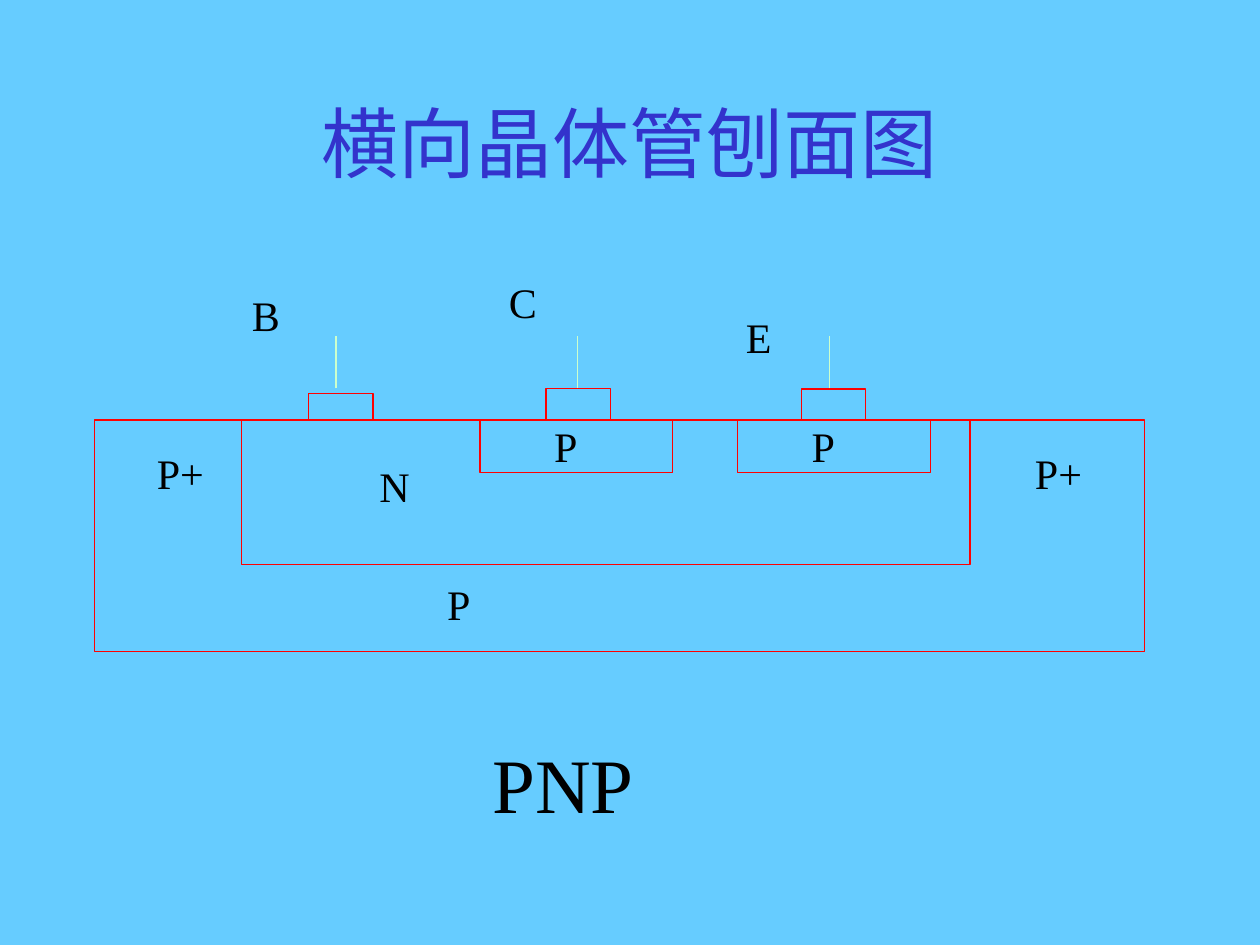
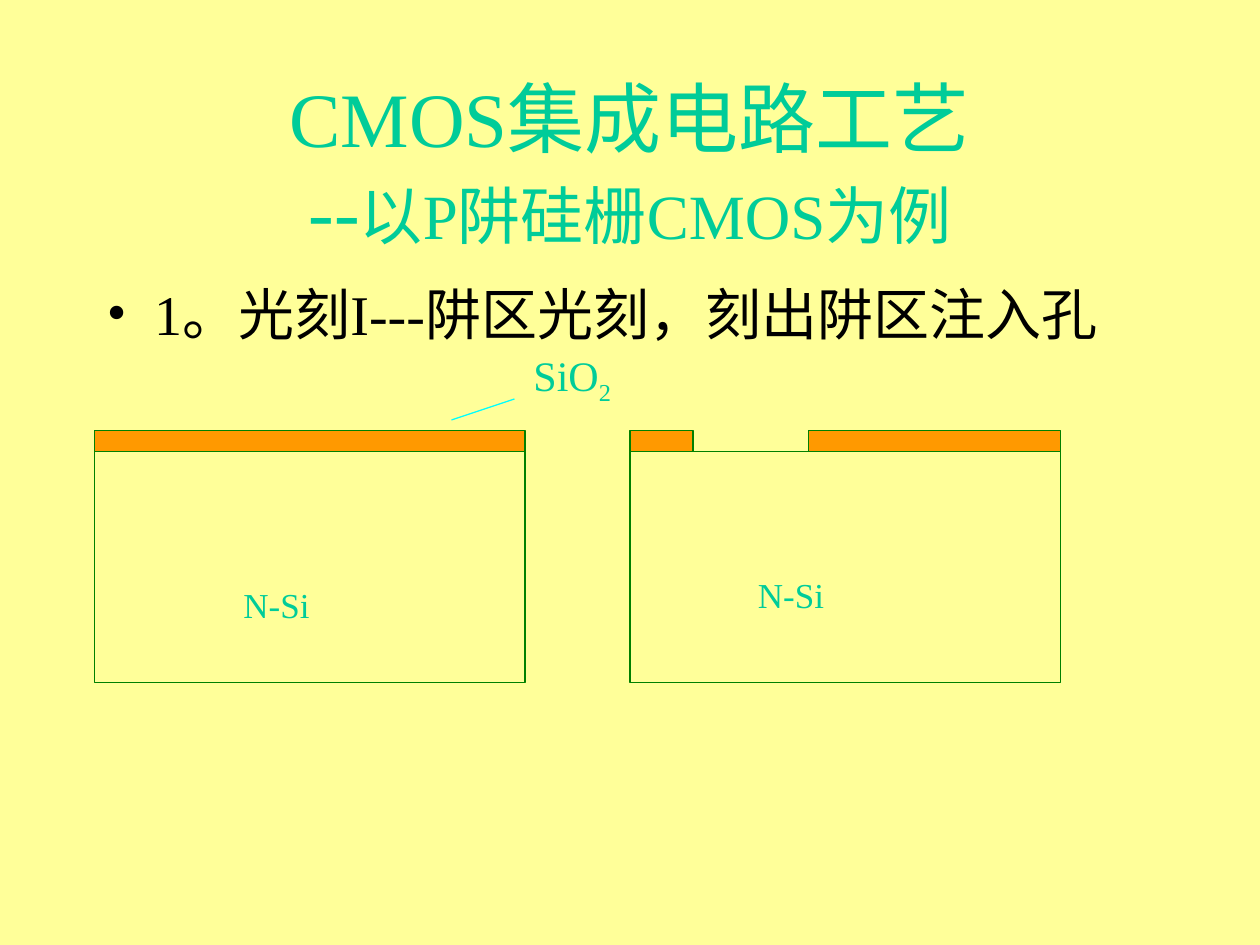
from lxml.etree import SubElement
from pptx import Presentation
from pptx.dml.color import RGBColor
from pptx.enum.shapes import MSO_CONNECTOR, MSO_SHAPE
from pptx.enum.text import MSO_ANCHOR, PP_ALIGN
from pptx.oxml.ns import qn
from pptx.util import Pt

FONT = "Times New Roman"
SKY = RGBColor(0x66, 0xCC, 0xFF)
CREAM = RGBColor(0xFF, 0xFF, 0x99)
INDIGO = RGBColor(0x33, 0x33, 0xCC)
TEAL = RGBColor(0x00, 0xCC, 0x99)
BLACK = RGBColor(0, 0, 0)
RED = RGBColor(0xFF, 0, 0)
GREEN = RGBColor(0, 0x80, 0)
ORANGE = RGBColor(0xFF, 0x99, 0)
MINT = RGBColor(0xCC, 0xFF, 0xCC)
CYAN = RGBColor(0, 0xFF, 0xFF)


def add_page(deck, color):
    page = deck.slides.add_slide(deck.slide_layouts[6])
    page.background.fill.solid()
    page.background.fill.fore_color.rgb = color
    return page


def format_span(span, size, color):
    span.font.name = FONT
    span.font.size = Pt(size)
    span.font.color.rgb = color


def add_text(page, left, top, width, height, text, size, color,
             centered=False, wrap=False):
    """Add a one-paragraph text box and return the paragraph."""
    box = page.shapes.add_textbox(Pt(left), Pt(top), Pt(width), Pt(height))
    frame = box.text_frame
    frame.text = text
    frame.word_wrap = wrap
    frame.vertical_anchor = MSO_ANCHOR.MIDDLE if centered else MSO_ANCHOR.TOP
    para = frame.paragraphs[0]
    para.alignment = PP_ALIGN.CENTER if centered else PP_ALIGN.LEFT
    for span in para.runs:
        format_span(span, size, color)
    return para


def add_span(para, text, size, color):
    span = para.add_run()
    span.text = text
    format_span(span, size, color)
    return span


def add_title(page, top, text, color):
    return add_text(page, 54, top, 612, 90, text, 44, color, centered=True, wrap=True)


def add_label(page, left, top, text):
    add_text(page, left, top, 49, 45, text, 24, BLACK, centered=True)


def add_bullet(para):
    properties = para._p.get_or_add_pPr()
    properties.set("marL", str(Pt(27)))
    properties.set("indent", str(Pt(-27)))
    SubElement(properties, qn("a:buFont")).set("typeface", FONT)
    SubElement(properties, qn("a:buChar")).set("char", "•")


def add_region(page, left, top, width, height, line_color, fill_color=None):
    region = page.shapes.add_shape(
        MSO_SHAPE.RECTANGLE, Pt(left), Pt(top), Pt(width), Pt(height))
    region.shadow.inherit = False
    region.line.color.rgb = line_color
    region.line.width = Pt(0.75)
    if fill_color is None:
        region.fill.background()
    else:
        region.fill.solid()
        region.fill.fore_color.rgb = fill_color


def add_line(page, x1, y1, x2, y2, color):
    line = page.shapes.add_connector(
        MSO_CONNECTOR.STRAIGHT, Pt(x1), Pt(y1), Pt(x2), Pt(y2))
    line.line.color.rgb = color
    line.line.width = Pt(0.75)
    SubElement(line._element.spPr, qn("a:effectLst"))


def build_transistor(deck):
    page = add_page(deck, SKY)
    add_title(page, 36, "横向晶体管刨面图", INDIGO)

    # Substrate, N well and the two P regions
    surface = 240
    add_region(page, 54, surface, 600, 132.3, RED)
    add_region(page, 138, surface, 416.4, 82.5, RED)
    for left in (274.3, 421.4):
        add_region(page, left, surface, 110.2, 30, RED)
        add_label(page, left + 24.5, 232.2, "P")

    # Contacts on the surface, each with its lead
    for left, top, lead in ((176.4, 225, 192), (312, 222, 330), (458, 222.3, 474)):
        add_region(page, left, top, 36.7, surface - top, RED)
        add_line(page, lead, 222, lead, 192, MINT)

    # Labels
    for left, top, text in ((274.3, 150, "C"), (127.4, 157.3, "B"),
                            (409, 170, "E"), (201, 255, "N"), (237.6, 322.6, "P"),
                            (78.5, 247.7, "P+"), (580.3, 247.7, "P+")):
        add_label(page, left, top, text)
    add_text(page, 274.3, 417.2, 95, 60, "PNP", 44, BLACK)


def build_cmos(deck):
    page = add_page(deck, CREAM)
    title = add_title(page, 48, "CMOS集成电路工艺\v--", TEAL)
    add_span(title, "以P阱硅栅CMOS为例", 36, TEAL)
    step = add_text(page, 54, 156, 612, 324, "1。光刻I---阱区光刻，刻出阱区注入孔",
                    32, BLACK, wrap=True)
    add_bullet(step)

    # Wafers before and after etching, with their oxide pieces
    wafers = ((54, 330, 132, ((0, 246),)),
              (360, 324, 426, ((0, 36), (102, 144))))
    for left, label_top, label_left, oxides in wafers:
        add_region(page, left, 258, 246, 132, GREEN)
        for offset, width in oxides:
            add_region(page, left + offset, 246, width, 12, GREEN, ORANGE)
        add_text(page, label_left, label_top, 72, 32, "N-Si", 20, TEAL)

    # Oxide label and its pointer
    oxide_label = add_text(page, 282, 204, 90, 24, "SiO", 24, TEAL, centered=True)
    subscript = add_span(oxide_label, "2", 24, TEAL)
    subscript._r.get_or_add_rPr().set("baseline", "-25000")
    add_line(page, 294, 228, 258, 240, CYAN)


def main():
    deck = Presentation()
    deck.slide_width, deck.slide_height = Pt(720), Pt(540)
    build_transistor(deck)
    build_cmos(deck)
    deck.save("out.pptx")


if __name__ == "__main__":
    main()
